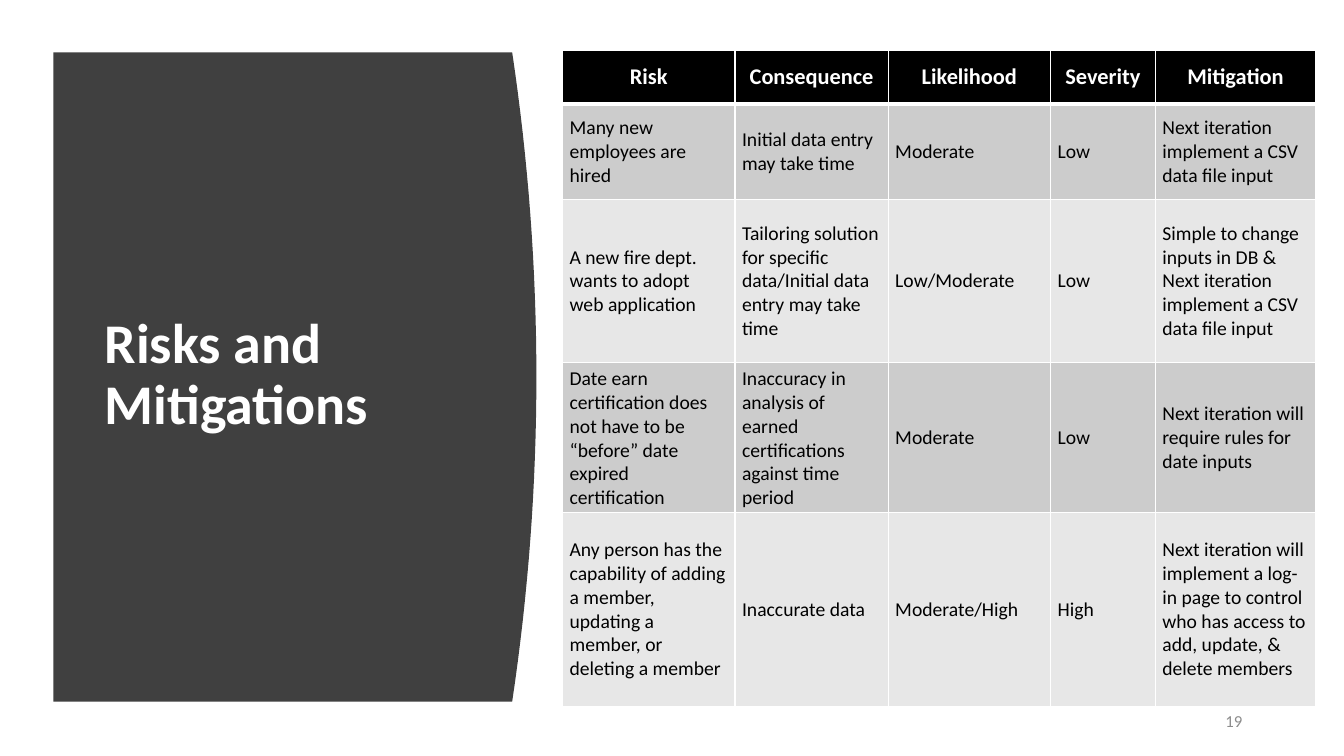
from dataclasses import dataclass

from lxml.etree import SubElement
from pptx import Presentation
from pptx.dml.color import RGBColor
from pptx.enum.text import MSO_ANCHOR, PP_ALIGN
from pptx.oxml.ns import qn
from pptx.util import Inches, Pt


@dataclass(frozen=True)
class Theme:
    font: str = "Calibri"
    panel: str = "404040"
    white: str = "FFFFFF"
    black: str = "000000"
    bands: tuple = ("CCCCCC", "E7E7E7")
    grey: str = "8C8C8C"
    title: int = 40
    head: int = 16
    body: int = 14
    small: int = 12


WIDTHS = (1.71, 1.52, 1.61, 1.04, 1.59)
HEIGHTS = (0.53, 0.95, 1.62, 1.4, 1.93)
RISKS = (
    ("Risk", "Consequence", "Likelihood", "Severity", "Mitigation"),
    ("Many new employees are hired", "Initial data entry may take time",
     "Moderate", "Low", "Next iteration implement a CSV data file input"),
    ("A new fire dept. wants to adopt web application",
     "Tailoring solution for specific data/Initial data entry may take time",
     "Low/Moderate", "Low",
     "Simple to change inputs in DB & Next iteration implement a CSV data file input"),
    ("Date earn certification does not have to be “before” date expired certification",
     "Inaccuracy in analysis of earned certifications against time period",
     "Moderate", "Low", "Next iteration will require rules for date inputs"),
    ("Any person has the capability of adding a member, updating a member, "
     "or deleting a member",
     "Inaccurate data", "Moderate/High", "High",
     "Next iteration will implement a log-in page to control who has access to "
     "add, update, & delete members"),
)


class Deck:
    """Holds the theme and the slide being drawn."""

    def __init__(self, theme):
        self.theme = theme
        self.show = Presentation()
        self.show.slide_width = Inches(13.33)
        self.show.slide_height = Inches(7.5)
        self.slide = self.show.slides.add_slide(self.show.slide_layouts[6])

    def style(self, frame, text, size, color, bold=False, align=PP_ALIGN.LEFT):
        """Set a frame's text, format it and return its paragraph."""
        frame.text = text
        line = frame.paragraphs[0]
        line.alignment = align
        for run in line.runs:
            run.font.name = self.theme.font
            run.font.size = Pt(size)
            run.font.bold = bold
            run.font.color.rgb = RGBColor.from_string(color)
        return line

    def text(self, box, text, size, color, **style):
        frame = self.slide.shapes.add_textbox(*map(Inches, box)).text_frame
        frame.word_wrap = True
        frame.vertical_anchor = MSO_ANCHOR.MIDDLE
        return self.style(frame, text, size, color, **style)

    def panel(self, left, top, width, height, bulge, steps=32):
        """Draw a block whose right edge swells out as a parabola."""
        edge = []
        for step in range(steps + 1):
            part = step / steps
            reach = width - bulge * (2 * part - 1) ** 2
            edge.append((Inches(left + reach), Inches(top + height * part)))
        pen = self.slide.shapes.build_freeform(Inches(left), Inches(top))
        pen.add_line_segments(edge + [(Inches(left), Inches(top + height))])
        shape = pen.convert_to_shape()
        shape.shadow.inherit = False
        shape.fill.solid()
        shape.fill.fore_color.rgb = RGBColor.from_string(self.theme.panel)
        shape.line.fill.background()

    def border(self, cell, widths):
        """Add cell borders; widths maps the sides L, R, T, B to points."""
        props = cell._tc.get_or_add_tcPr()
        for side, width in widths.items():
            line = SubElement(props, qn(f"a:ln{side}"), w=str(Pt(width)))
            fill = SubElement(line, qn("a:solidFill"))
            SubElement(fill, qn("a:srgbClr"), val=self.theme.white)

    def cell(self, cell, text, row):
        look = self.theme
        head = row == 0
        self.border(cell, {"L": 1, "R": 1, "T": 3 if row == 1 else 1,
                           "B": 3 if head else 1})
        cell.fill.solid()
        shade = look.black if head else look.bands[(row - 1) % 2]
        cell.fill.fore_color.rgb = RGBColor.from_string(shade)
        cell.vertical_anchor = MSO_ANCHOR.MIDDLE
        cell.margin_left = cell.margin_right = Inches(0.07)
        cell.margin_top = cell.margin_bottom = Inches(0.04)
        if head:
            self.style(cell.text_frame, text, look.head, look.white,
                       bold=True, align=PP_ALIGN.CENTER)
        else:
            self.style(cell.text_frame, text, look.body, look.black)

    def table(self, left, top, widths, heights, rows):
        box = (left, top, sum(widths), sum(heights))
        grid = self.slide.shapes.add_table(
            len(heights), len(widths), *map(Inches, box)).table
        for col, width in zip(grid.columns, widths):
            col.width = Inches(width)
        for row, height in zip(grid.rows, heights):
            row.height = Inches(height)
        for r, row in enumerate(rows):
            for c, text in enumerate(row):
                self.cell(grid.cell(r, c), text, r)


def main():
    look = Theme()
    deck = Deck(look)
    deck.panel(0.53, 0.52, 4.79, 6.44, bulge=0.24)
    title = deck.text((0.94, 1.11, 3.74, 5.24), "Risks and Mitigations",
                      look.title, look.white, bold=True)
    title.line_spacing = 0.9
    number = deck.text((11.73, 6.95, 0.69, 0.4), "19", look.small, look.grey,
                       align=PP_ALIGN.RIGHT)
    number.space_after = Pt(6)
    deck.table(5.58, 0.5, WIDTHS, HEIGHTS, RISKS)
    deck.show.save("out.pptx")


if __name__ == "__main__":
    main()
